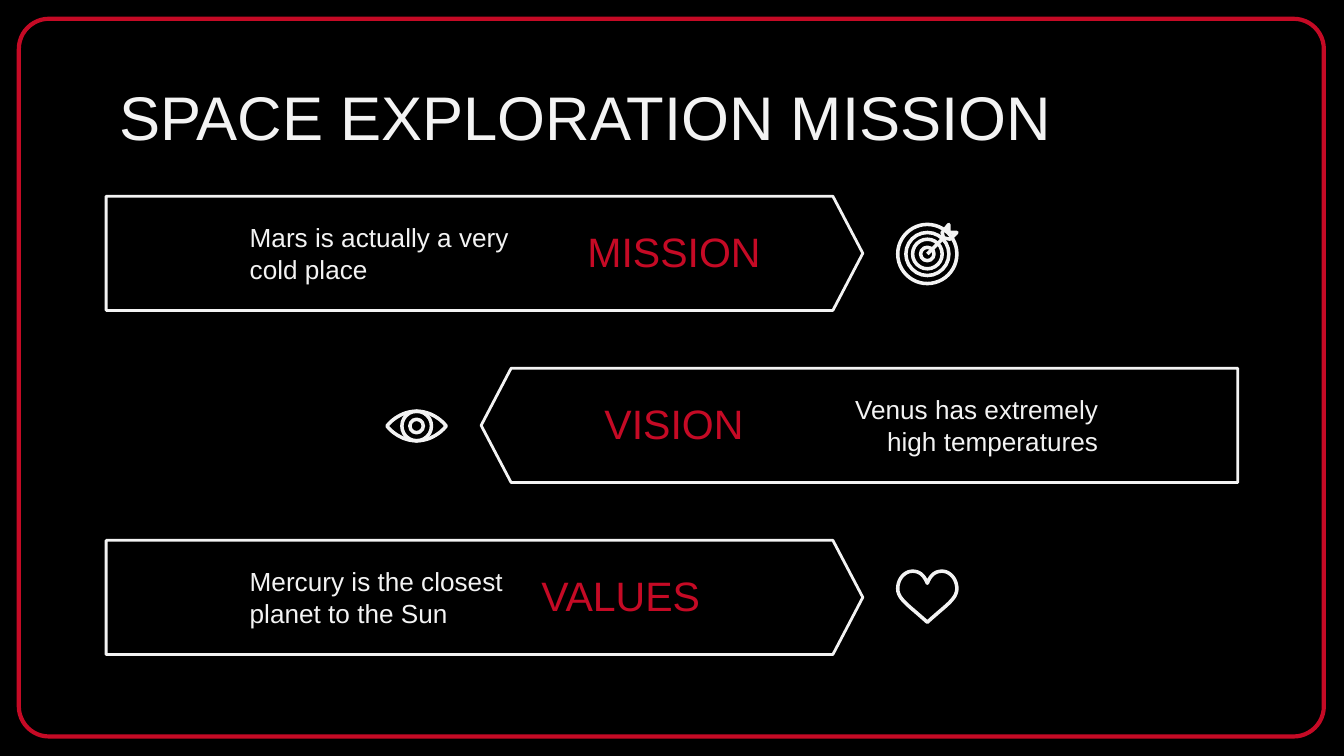
from dataclasses import dataclass

from lxml.etree import SubElement
from pptx import Presentation
from pptx.dml.color import RGBColor
from pptx.enum.shapes import MSO_CONNECTOR as Connector, MSO_SHAPE as Preset
from pptx.enum.text import MSO_ANCHOR as Anchor, PP_ALIGN as Align
from pptx.oxml.ns import qn
from pptx.util import Inches, Pt

RED = "C50A25"
WHITE = "F3F3F3"
BANNER_LEFT, BANNER_TOP, BANNER_PITCH = 0.79, 1.46, 1.28
BANNER_WIDTH, BANNER_HEIGHT = 5.63, 0.85
LABEL_LEFT, TEXT_WIDTH = 3.93, 2.17
ICON_STROKE = 1.9

Point = tuple[float, float]
Curve = tuple[Point, Point, Point]


@dataclass
class Banner:
    label: str
    body: str
    label_align: Align = Align.CENTER
    flipped: bool = False


BANNERS = [
    Banner("MISSION", "Mars is actually a very cold place"),
    Banner("VISION", "Venus has extremely high temperatures", flipped=True),
    Banner("VALUES", "Mercury is the closest planet to the Sun", Align.LEFT),
]

HEART: list[Curve] = [
    ((0.02, -0.05), (0.05, -0.09), (0.11, -0.09)),
    ((0.17, -0.09), (0.22, -0.03), (0.22, 0.04)),
    ((0.22, 0.12), (0.13, 0.17), (0, 0.29)),
]
EYE: list[Curve] = [
    ((0.11, 0), (0.19, 0.07), (0.22, 0.11)),
    ((0.19, 0.15), (0.11, 0.22), (0, 0.22)),
]
FLETCHING: list[Point] = [
    (7.02, 1.77), (7.01, 1.73), (7.06, 1.67), (7.06, 1.73), (7.12, 1.73), (7.07, 1.78),
]


def colour(value: str) -> RGBColor:
    return RGBColor.from_string(value)


def set_outline(shape, value: str, width: float) -> None:
    shape.shadow.inherit = False
    shape.fill.background()
    shape.line.color.rgb = colour(value)
    shape.line.width = Pt(width)
    SubElement(shape._element.spPr.find(qn("a:ln")), qn("a:round"))


def add_preset(page, preset: Preset, left: float, top: float, width: float,
               height: float, value: str, stroke: float):
    shape = page.shapes.add_shape(
        preset, Inches(left), Inches(top), Inches(width), Inches(height))
    set_outline(shape, value, stroke)
    return shape


def add_text(page, text: str, left: float, top: float, width: float, height: float,
             size: float, value: str, align: Align = Align.LEFT,
             anchor: Anchor = Anchor.TOP) -> None:
    box = page.shapes.add_textbox(
        Inches(left), Inches(top), Inches(width), Inches(height))
    frame = box.text_frame
    frame.word_wrap = True
    frame.vertical_anchor = anchor
    frame.margin_left = frame.margin_right = Inches(0.1)
    frame.margin_top = frame.margin_bottom = Inches(0.1)
    para = frame.paragraphs[0]
    para.text = text
    para.alignment = align
    para.font.name = "Arial"
    para.font.size = Pt(size)
    para.font.color.rgb = colour(value)


def add_banner(page, banner: Banner, top: float) -> None:
    left = 10 - BANNER_LEFT - BANNER_WIDTH if banner.flipped else BANNER_LEFT
    plate = add_preset(page, Preset.PENTAGON, left, top, BANNER_WIDTH,
                       BANNER_HEIGHT, WHITE, 1.5)
    plate.adjustments[0] = 0.262
    plate.rotation = 180 if banner.flipped else 0
    body_left = LABEL_LEFT + (TEXT_WIDTH if banner.flipped else -TEXT_WIDTH)
    body_align = Align.RIGHT if banner.flipped else Align.LEFT
    add_text(page, banner.body, body_left, top + 0.09, TEXT_WIDTH, 0.68, 14,
             WHITE, body_align)
    add_text(page, banner.label, LABEL_LEFT, top + 0.16, TEXT_WIDTH, 0.53, 22,
             RED, banner.label_align, Anchor.BOTTOM)


def add_rings(page, x: float, y: float, radii: list[float]) -> None:
    for radius in radii:
        add_preset(page, Preset.OVAL, x - radius, y - radius, 2 * radius,
                   2 * radius, WHITE, ICON_STROKE)


def add_polygon(page, points: list[Point]) -> None:
    corners = [(Inches(x), Inches(y)) for x, y in points]
    builder = page.shapes.build_freeform(*corners[0])
    builder.add_line_segments(corners[1:], close=True)
    set_outline(builder.convert_to_shape(), WHITE, ICON_STROKE)


def sample(curves: list[Curve], steps: int = 12) -> list[Point]:
    points = [(0.0, 0.0)]
    for curve in curves:
        controls = (points[-1], *curve)
        for step in range(1, steps + 1):
            t = step / steps
            weights = ((1 - t) ** 3, 3 * t * (1 - t) ** 2, 3 * t * t * (1 - t), t ** 3)
            x, y = (sum(w * c[axis] for w, c in zip(weights, controls))
                    for axis in (0, 1))
            points.append((x, y))
    return points


def add_symmetric(page, x: float, y: float, curves: list[Curve]) -> None:
    half = sample(curves)
    right = [(x + dx, y + dy) for dx, dy in half]
    left = [(x - dx, y + dy) for dx, dy in reversed(half[1:-1])]
    add_polygon(page, right + left)


def add_shaft(page, start: Point, end: Point) -> None:
    shaft = page.shapes.add_connector(
        Connector.STRAIGHT, *(Inches(value) for value in (*start, *end)))
    shaft.line.color.rgb = colour(WHITE)
    shaft.line.width = Pt(ICON_STROKE)
    SubElement(shaft._element.spPr, qn("a:effectLst"))


def main() -> None:
    deck = Presentation()
    deck.slide_width = Inches(10)
    deck.slide_height = deck.slide_width * 9 // 16
    page = deck.slides.add_slide(deck.slide_layouts[6])
    page.background.fill.solid()
    page.background.fill.fore_color.rgb = colour("000000")

    border = add_preset(page, Preset.ROUNDED_RECTANGLE, 0.14, 0.14, 9.71, 5.34, RED, 2.25)
    border.adjustments[0] = 0.042
    add_text(page, "SPACE EXPLORATION MISSION", 0.79, 0.49, 8.43, 0.63, 33, WHITE)
    for row, banner in enumerate(BANNERS):
        add_banner(page, banner, BANNER_TOP + row * BANNER_PITCH)

    add_rings(page, 6.9, 1.89, [0.22, 0.16, 0.11, 0.05])
    add_shaft(page, (6.9, 1.89), FLETCHING[0])
    add_polygon(page, FLETCHING)
    add_symmetric(page, 3.1, 3.06, EYE)
    add_rings(page, 3.1, 3.17, [0.11, 0.05])
    add_symmetric(page, 6.9, 4.34, HEART)
    deck.save("out.pptx")


if __name__ == "__main__":
    main()
